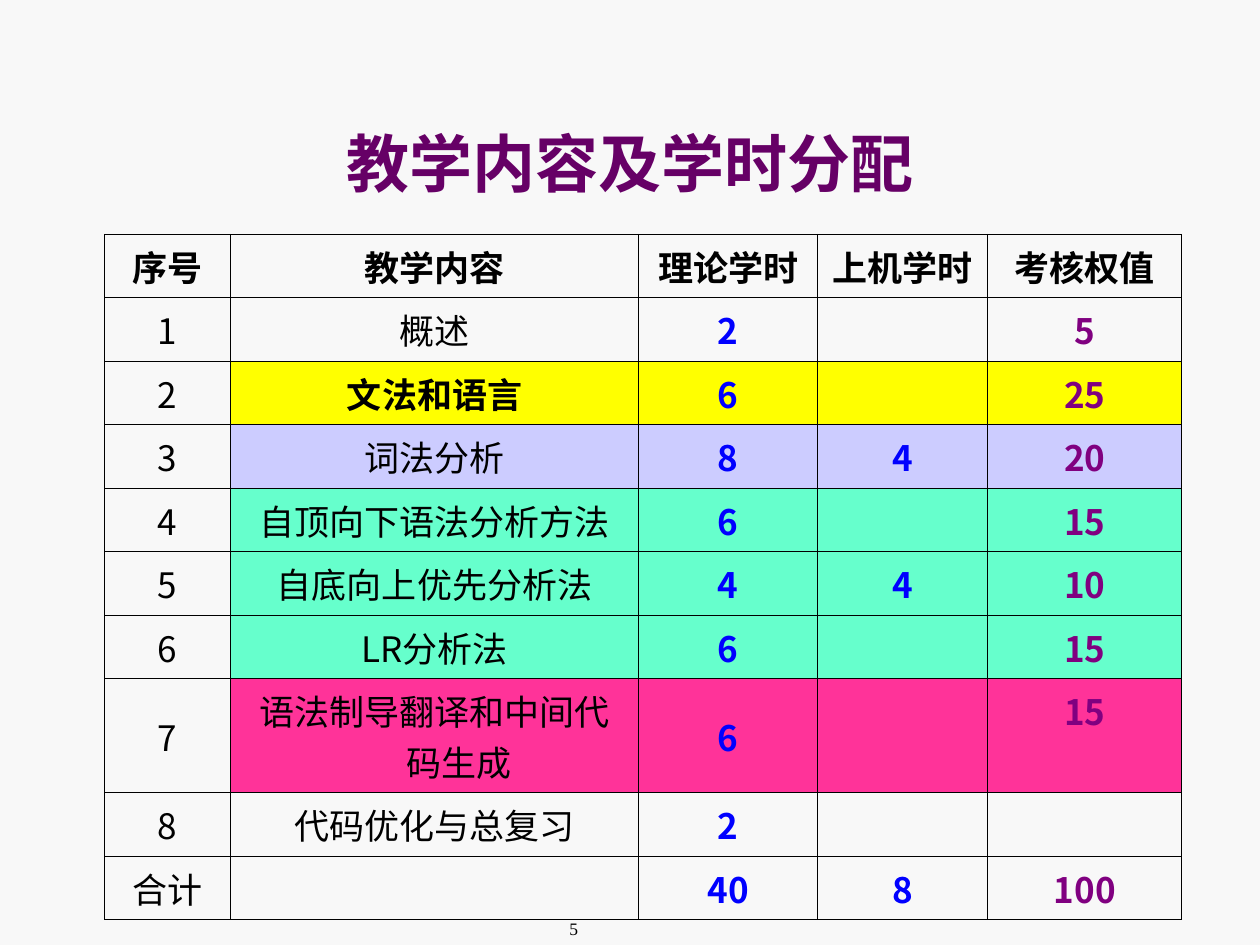
from dataclasses import dataclass

from lxml.etree import SubElement
from pptx import Presentation
from pptx.dml.color import RGBColor
from pptx.enum.text import MSO_ANCHOR, PP_ALIGN
from pptx.oxml.ns import qn
from pptx.util import Inches, Pt


@dataclass(frozen=True)
class Theme:
    background: str = "F8F8F8"
    title: str = "660066"
    ink: str = "000000"
    hours: str = "0000FF"
    weight: str = "800080"
    yellow: str = "FFFF00"
    lilac: str = "CCCCFF"
    mint: str = "66FFCC"
    pink: str = "FF3399"
    serif: str = "Times New Roman"
    sans: str = "Calibri"
    cjk: str = "Noto Sans CJK SC"
    title_size: float = 36
    table_size: float = 20
    number_size: float = 10
    border: float = 0.45
    hanging: float = 0.38


class SlideBuilder:
    def __init__(self, prs, theme):
        self.theme = theme
        self.width, self.height = prs.slide_width, prs.slide_height
        self.s = prs.slides.add_slide(prs.slide_layouts[6])
        fill = self.s.background.fill
        fill.solid()
        fill.fore_color.rgb = RGBColor.from_string(theme.background)

    def box(self, left, top, width, height):
        return (round(left * self.width), round(top * self.height),
                round(width * self.width), round(height * self.height))

    def run(self, p, text, size, color, font, bold=False):
        r = p.add_run()
        r.text = text
        r.font.size = Pt(size)
        r.font.name = font
        r.font.bold = bold
        r.font.color.rgb = RGBColor.from_string(color)
        SubElement(r.font._element, qn("a:ea")).set("typeface", self.theme.cjk)

    def text(self, area, text, size, color, bold=False,
             align=PP_ALIGN.LEFT, anchor=MSO_ANCHOR.TOP):
        tf = self.s.shapes.add_textbox(*self.box(*area)).text_frame
        tf.word_wrap = True
        tf.vertical_anchor = anchor
        p = tf.paragraphs[0]
        p.alignment = align
        self.run(p, text, size, color, self.theme.serif, bold)

    def borders(self, cell):
        tc_pr = cell._tc.get_or_add_tcPr()
        for side in ("L", "R", "T", "B"):
            line = SubElement(tc_pr, qn(f"a:ln{side}"), w=str(Pt(self.theme.border)))
            fill = SubElement(line, qn("a:solidFill"))
            SubElement(fill, qn("a:srgbClr"), val=self.theme.ink)

    def cell(self, cell, text, color, font, bold, fill, anchor):
        self.borders(cell)
        if fill:
            cell.fill.solid()
            cell.fill.fore_color.rgb = RGBColor.from_string(fill)
        else:
            cell.fill.background()
        cell.vertical_anchor = anchor
        cell.margin_left = cell.margin_right = Inches(0.1)
        cell.margin_top = cell.margin_bottom = Inches(0.05)
        if text:
            p = cell.text_frame.paragraphs[0]
            p.alignment = PP_ALIGN.CENTER
            p_pr = p._p.get_or_add_pPr()
            p_pr.set("marL", str(Inches(self.theme.hanging)))
            p_pr.set("indent", str(-Inches(self.theme.hanging)))
            self.run(p, text, self.theme.table_size, color, font, bold)

    def table(self, left, top, columns, rows, header, body, bold_topics, top_cells):
        t = self.theme
        area = self.box(left, top, sum(columns), sum(rows))
        table = self.s.shapes.add_table(len(rows), len(columns), *area).table
        table.first_row = table.horz_banding = False
        for column, share in zip(table.columns, columns):
            column.width = round(share * self.width)
        for row, share in zip(table.rows, rows):
            row.height = round(share * self.height)
        for c, text in enumerate(header):
            self.cell(table.cell(0, c), text, t.ink, t.sans, True, None, MSO_ANCHOR.MIDDLE)
        colors = (t.ink, t.ink, t.hours, t.hours, t.weight)
        for r, (fill, *texts) in enumerate(body, 1):
            for c, (text, color) in enumerate(zip(texts, colors)):
                self.cell(table.cell(r, c), text, color, t.cjk,
                          c > 1 or text in bold_topics, fill if c else None,
                          MSO_ANCHOR.TOP if (r, c) in top_cells else MSO_ANCHOR.MIDDLE)


def main():
    prs = Presentation()
    prs.slide_width, prs.slide_height = Inches(10), Inches(7.5)
    t = Theme()
    slide = SlideBuilder(prs, t)
    slide.text((0.442, 0.965, 0.083, 0.036), "5", t.number_size, t.ink)
    slide.text((0.075, 0.089, 0.85, 0.166), "教学内容及学时分配", t.title_size, t.title,
               True, PP_ALIGN.CENTER, MSO_ANCHOR.MIDDLE)
    header = ("序号", "教学内容", "理论学时", "上机学时", "考核权值")
    body = (
        (None, "1", "概述", "2", "", "5"),
        (t.yellow, "2", "文法和语言", "6", "", "25"),
        (t.lilac, "3", "词法分析", "8", "4", "20"),
        (t.mint, "4", "自顶向下语法分析方法", "6", "", "15"),
        (t.mint, "5", "自底向上优先分析法", "4", "4", "10"),
        (t.mint, "6", "LR分析法", "6", "", "15"),
        (t.pink, "7", "语法制导翻译和中间代码生成", "6", "", "15"),
        (None, "8", "代码优化与总复习", "2", "", ""),
        (None, "合计", "", "40", "8", "100"),
    )
    row, tall_row = 0.504 / 7.5, 0.905 / 7.5
    slide.table(0.083, 1.86 / 7.5, (0.1, 0.324, 0.142, 0.135, 0.154),
                [row] * 7 + [tall_row] + [row] * 2, header, body,
                {"文法和语言"}, {(1, 4), (6, 4), (7, 4), (9, 3), (9, 4)})
    prs.save("out.pptx")


if __name__ == "__main__":
    main()
